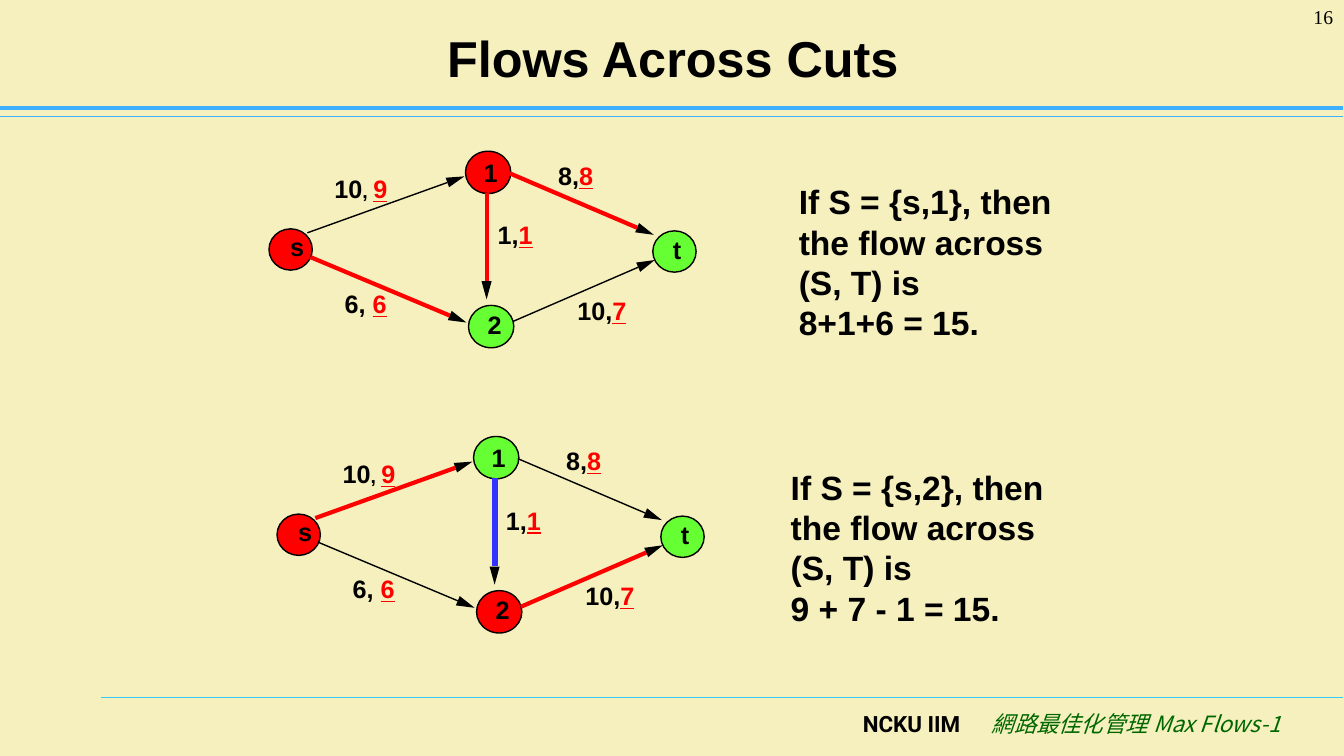
from math import hypot

from lxml.etree import SubElement
from pptx import Presentation
from pptx.dml.color import RGBColor
from pptx.enum.shapes import MSO_CONNECTOR, MSO_SHAPE
from pptx.enum.text import MSO_ANCHOR, PP_ALIGN
from pptx.oxml.ns import qn
from pptx.util import Inches, Pt

CREAM = RGBColor(0xF5, 0xF0, 0xBD)
BLACK = RGBColor(0, 0, 0)
RED = RGBColor(0xFF, 0, 0)
LIME = RGBColor(0x66, 0xFF, 0x33)
BLUE = RGBColor(0x33, 0x33, 0xFF)
SKY = RGBColor(0x3D, 0xB0, 0xFF)
CYAN = RGBColor(0x33, 0xCC, 0xFF)
GREEN = RGBColor(0, 0x66, 0)

NODES = {
    "s": (2.67, 2.27, 0.43, 0.41, 0.13, 0.06),
    "1": (4.62, 1.5, 0.45, 0.42, 0.05, 0),
    "2": (4.65, 3.03, 0.45, 0.42, 0.07, 0.04),
    "t": (6.48, 2.29, 0.43, 0.41, 0.05, 0.04),
}
EDGES = {
    "s1": (3.05, 2.31, 4.61, 1.75),
    "s2": (3.08, 2.55, 4.63, 3.2),
    "1t": (5.06, 1.72, 6.49, 2.33),
    "2t": (5.09, 3.19, 6.5, 2.58),
    "12": (4.83, 1.91, 4.83, 2.97),
}
LABELS = [
    (3.32, 1.72, 0.53, "10", ", ", 14, "9"),
    (5.54, 1.59, 0.35, "8", ",", 18, "8"),
    (4.94, 2.18, 0.35, "1", ",", 18, "1"),
    (5.73, 2.93, 0.49, "10", ",", 18, "7"),
    (3.42, 2.86, 0.42, "6", ", ", 18, "6"),
]


class Deck:
    """Draws styled elements on the current slide."""

    def __init__(self, show):
        self.slide = show.slides.add_slide(show.slide_layouts[5])
        self.shapes = self.slide.shapes
        self.slide.background.fill.solid()
        self.slide.background.fill.fore_color.rgb = CREAM

    def style(self, font, size, color=BLACK, bold=True, name="Arial"):
        font.name, font.size, font.bold = name, Pt(size), bold
        font.color.rgb = color

    def title(self, text):
        title = self.shapes.title
        title.left, title.top = Inches(0.68), Inches(0.13)
        title.width, title.height = Inches(12), Inches(0.87)
        title.text_frame.text = text
        title.text_frame.vertical_anchor = MSO_ANCHOR.MIDDLE
        par = title.text_frame.paragraphs[0]
        par.alignment = PP_ALIGN.CENTER
        self.style(par.font, 36)

    def text(self, box, text, size, align=PP_ALIGN.LEFT, **look):
        frame = self.shapes.add_textbox(*map(Inches, box)).text_frame
        frame.word_wrap = True
        frame.text = text
        par = frame.paragraphs[0]
        par.alignment = align
        self.style(par.font, size, **look)
        return par

    def line(self, x1, y1, x2, y2, color, width):
        line = self.shapes.add_connector(
            MSO_CONNECTOR.STRAIGHT, *map(Inches, (x1, y1, x2, y2)))
        line.line.color.rgb = color
        line.line.width = Pt(width)
        SubElement(line._element.spPr, qn("a:effectLst"))

    def arrow(self, x1, y1, x2, y2, color, width):
        size = hypot(x2 - x1, y2 - y1)
        ux, uy = (x2 - x1) / size, (y2 - y1) / size
        bx, by = x2 - 0.18 * ux, y2 - 0.18 * uy
        wx, wy = -0.05 * uy, 0.05 * ux
        path = self.shapes.build_freeform(Inches(x2), Inches(y2))
        path.add_line_segments([(Inches(bx + wx), Inches(by + wy)),
                                (Inches(bx - wx), Inches(by - wy))])
        head = path.convert_to_shape()
        head.shadow.inherit = False
        head.fill.solid()
        head.fill.fore_color.rgb = BLACK
        head.line.fill.background()
        self.line(x1, y1, bx, by, color, width)

    def node(self, x, y, wide, high, left, low, name, color):
        node = self.shapes.add_shape(
            MSO_SHAPE.OVAL, *map(Inches, (x, y, wide, high)))
        node.shadow.inherit = False
        node.fill.solid()
        node.fill.fore_color.rgb = color
        node.line.color.rgb = BLACK
        node.line.width = Pt(1)
        frame = node.text_frame
        frame.margin_left, frame.margin_bottom = Inches(left), Inches(low)
        frame.margin_right = frame.margin_top = 0
        frame.word_wrap = False
        frame.vertical_anchor = MSO_ANCHOR.MIDDLE
        frame.text = name
        par = frame.paragraphs[0]
        par.alignment = PP_ALIGN.CENTER
        self.style(par.font, 18)

    def label(self, x, y, wide, cap, mark, size, flow):
        frame = self.shapes.add_textbox(
            *map(Inches, (x, y, wide, 0.3))).text_frame
        frame.margin_left = frame.margin_right = 0
        frame.margin_top = frame.margin_bottom = 0
        frame.word_wrap = False
        par = frame.paragraphs[0]
        for text, pt, color in ((cap, 18, BLACK), (mark, size, BLACK),
                                (flow, 18, RED)):
            run = par.add_run()
            run.text = text
            self.style(run.font, pt, color)
        run.font.underline = True

    def graph(self, dx, dy, source, strong):
        for name, (x, y, *rest) in NODES.items():
            self.node(x + dx, y + dy, *rest, name,
                      RED if name in source else LIME)
        for name, (x1, y1, x2, y2) in EDGES.items():
            color, width = strong.get(name, (BLACK, 1))
            self.arrow(x1 + dx, y1 + dy, x2 + dx, y2 + dy, color, width)
        for x, y, *rest in LABELS:
            self.label(x + dx, y + dy, *rest)


def main():
    show = Presentation()
    show.slide_width, show.slide_height = Inches(13.34), Inches(7.5)
    deck = Deck(show)
    deck.line(1, 6.92, 13.33, 6.92, CYAN, 0.75)
    deck.line(0, 1.16, 13.33, 1.16, SKY, 0.75)
    deck.line(0, 1.07, 13.33, 1.07, SKY, 2.5)
    deck.title("Flows Across Cuts")
    right = PP_ALIGN.RIGHT
    deck.text((12.22, 0, 1.11, 0.5), "16", 14, right,
              bold=False, name="Times New Roman")
    deck.text((7.63, 7, 2, 0.5), "NCKU IIM", 16, right, name="Roboto")
    font = "Noto Sans CJK SC"
    topic = deck.text((9.63, 7, 3.18, 0.5), "網路最佳化管理 Max Flows-1", 16,
                      right, color=GREEN, bold=False, name=font)
    topic.font.italic = True
    props = topic.runs[0]._r.get_or_add_rPr()
    SubElement(props, qn("a:ea")).set("typeface", font)

    bold = (RED, 3)
    deck.graph(0, 0, "s1", {"s2": bold, "1t": bold, "12": bold})
    deck.graph(0.08, 2.83, "s2",
               {"s1": bold, "2t": bold, "12": (BLUE, 4.5)})
    for x, y, node, total in ((7.83, 1.75, "1", "8+1+6 = 15."),
                              (7.75, 4.58, "2", "9 + 7 - 1 = 15.")):
        deck.text((x, y, 2.95, 1.7),
                  f"If S = {{s,{node}}}, then the flow across (S, T) is\v{total}",
                  24)
    show.save("out.pptx")


if __name__ == "__main__":
    main()
